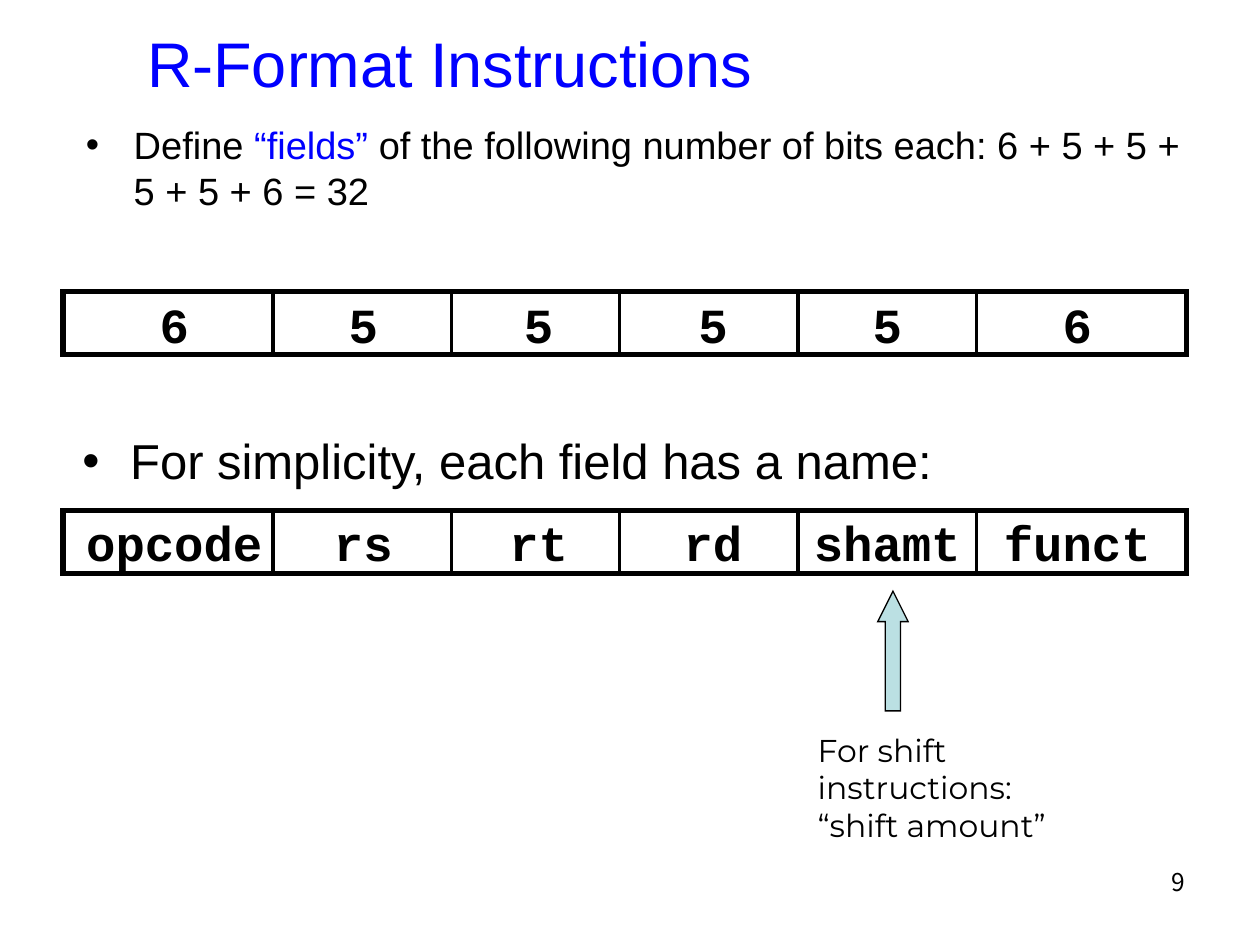
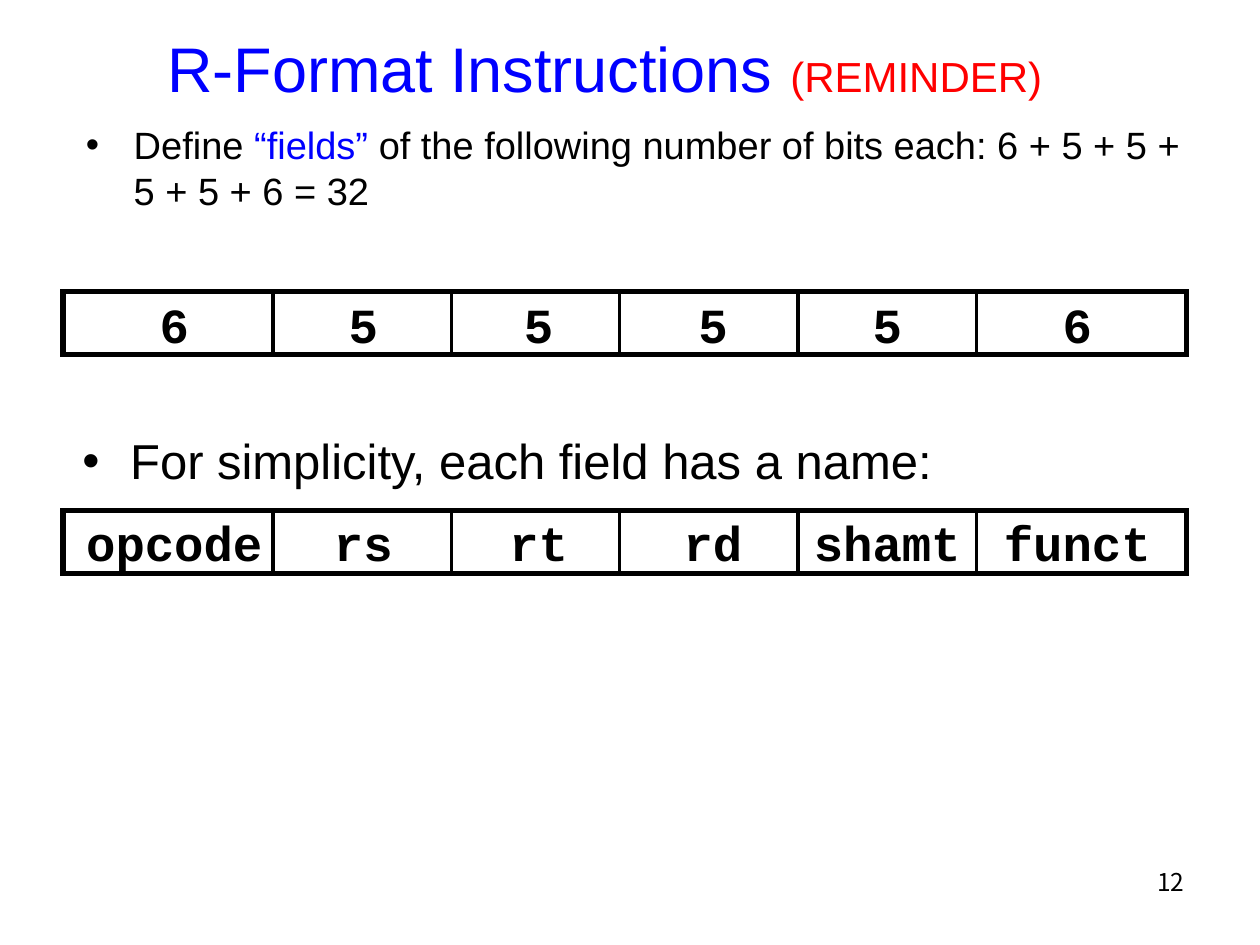
from pptx import Presentation, util as u
from pptx.dml.color import RGBColor
from pptx.enum import shapes as kinds, text as t
from pptx.oxml import parse_xml
from pptx.oxml.ns import nsdecls

COLORS = {"ink": "000000", "title": "0000FF", "alert": "FF0000",
          "arrow": "BBE0E3", "paper": "FFFFFF"}
SANS, MONO, NOTE, NUMBER = "Arial", "Courier New", "Montserrat", "Noto Sans CJK KR"

# Grid: 120 columns by 90 rows, twelve to the inch
UNIT = u.Inches(1) // 12
COLUMNS, ROWS = 120, 90

# Instruction word: outer edges, inner borders and label centres in columns
WORD_LEFT, WORD_WIDTH, WORD_HEIGHT = 6, 107, 6
FIELD_BORDERS = (26, 43, 59, 76, 93)
FIELD_CENTERS = (16.6, 34.6, 51.3, 67.9, 84.5, 102.6)
LABEL_HEIGHT, CHAR_WIDTH, LABEL_MARGIN = 6.8, 2.8, 2.4
BITS = ("6", "5", "5", "5", "5", "6")
NAMES = ("opcode", "rs", "rt", "rd", "shamt", "funct")
BITS_ROW, NAMES_ROW = 27.8, 48.6


def grid(*lengths):
    return [round(length * UNIT) for length in lengths]


def rgb(name):
    return RGBColor.from_string(COLORS[name])


def add_run(paragraph, words, size, font=SANS, color="ink", bold=False):
    run = paragraph.add_run()
    run.text = words
    run.font.size, run.font.name, run.font.bold = u.Pt(size), font, bold
    run.font.color.rgb = rgb(color)


def add_text(parent, place, wrap=True, align=t.PP_ALIGN.LEFT):
    """Add a text box; return its frame and first paragraph."""
    frame = parent.add_textbox(*grid(*place)).text_frame
    frame.word_wrap = wrap
    frame.paragraphs[0].alignment = align
    return frame, frame.paragraphs[0]


def add_bullet(paragraph):
    props = paragraph._p.get_or_add_pPr()
    indent = u.Inches(0.38)
    props.set("marL", str(indent))
    props.set("indent", str(-indent))
    ns = nsdecls("a")
    props.append(parse_xml(f'<a:buClr {ns}><a:srgbClr val="{COLORS["ink"]}"/></a:buClr>'))
    props.append(parse_xml(f'<a:buFont {ns} typeface="{SANS}"/>'))
    props.append(parse_xml(f'<a:buChar {ns} char="•"/>'))


def outline(shape, width):
    """Draw a black line with square corners."""
    shape.line.color.rgb = rgb("ink")
    shape.line.width = u.Pt(width)
    shape.line._ln.append(parse_xml(f'<a:miter {nsdecls("a")} lim="800000"/>'))


def add_title(slide, place, runs):
    title = slide.shapes.title
    title.left, title.top, title.width, title.height = grid(*place)
    frame = title.text_frame
    frame.auto_size = t.MSO_AUTO_SIZE.NONE
    frame.word_wrap = True
    frame.vertical_anchor = t.MSO_ANCHOR.MIDDLE
    paragraph = frame.paragraphs[0]
    paragraph.alignment = t.PP_ALIGN.CENTER
    for words, size, color in runs:
        add_run(paragraph, words, size, color=color)


def add_word(slide, row, labels):
    """Draw one 32-bit word, split into labelled fields."""
    word = slide.shapes.add_group_shape().shapes
    for center, label in zip(FIELD_CENTERS, labels):
        width = len(label) * CHAR_WIDTH + LABEL_MARGIN
        frame, paragraph = add_text(word, (center - width / 2, row, width, LABEL_HEIGHT),
                                    wrap=False, align=t.PP_ALIGN.CENTER)
        frame.margin_top = u.Inches(0.02)
        add_run(paragraph, label, 28, MONO, bold=True)
    frame_box = word.add_shape(kinds.MSO_SHAPE.RECTANGLE,
                               *grid(WORD_LEFT, row, WORD_WIDTH, WORD_HEIGHT))
    frame_box.shadow.inherit = False
    frame_box.fill.background()
    outline(frame_box, 3)
    for column in FIELD_BORDERS:
        border = word.add_connector(kinds.MSO_CONNECTOR.STRAIGHT,
                                    *grid(column, row, column, row + WORD_HEIGHT))
        outline(border, 2.25)
        border._element.spPr.append(parse_xml(f'<a:effectLst {nsdecls("a")}/>'))


def add_definition(slide):
    _, paragraph = add_text(slide.shapes, (7, 11, 107, 10.2))
    add_bullet(paragraph)
    for words, color in (("Define ", "ink"), ("“fields”", "title"),
                         (" of the following number of bits each: "
                          "6 + 5 + 5 + 5 + 5 + 6 = 32", "ink")):
        add_run(paragraph, words, 21.7, color=color)


def add_naming(slide):
    frame, paragraph = add_text(slide.shapes, (7, 34, 103, 13))
    frame.margin_left = frame.margin_right = u.Inches(0.07)
    frame.margin_top = frame.margin_bottom = u.Inches(0.03)
    frame.vertical_anchor = t.MSO_ANCHOR.BOTTOM
    add_bullet(paragraph)
    add_run(paragraph, "For simplicity, each field has a name:", 28)


def add_shift_note(slide):
    arrow = slide.shapes.add_shape(kinds.MSO_SHAPE.UP_ARROW, *grid(83.6, 56.3, 2.9, 11.4))
    arrow.adjustments[0], arrow.adjustments[1] = 0.5, 1
    arrow.shadow.inherit = False
    arrow.fill.solid()
    arrow.fill.fore_color.rgb = rgb("arrow")
    outline(arrow, 0.75)
    frame, paragraph = add_text(slide.shapes, (76.7, 69, 32.2, 12))
    add_run(paragraph, "For shift instructions:", 18, NOTE)
    add_run(frame.add_paragraph(), "“shift amount”", 18, NOTE)


def add_format_slide(deck, number, title_place, title_runs):
    """Build what both slides share."""
    slide = deck.slides.add_slide(deck.slide_layouts[5])
    slide.background.fill.solid()
    slide.background.fill.fore_color.rgb = rgb("paper")
    _, page = add_text(slide.shapes, (86, 82, 28, 6.2), align=t.PP_ALIGN.RIGHT)
    add_run(page, number, 14, NUMBER)
    add_title(slide, title_place, title_runs)
    add_definition(slide)
    add_word(slide, BITS_ROW, BITS)
    add_word(slide, NAMES_ROW, NAMES)
    add_naming(slide)
    return slide


def main():
    deck = Presentation()
    deck.slide_width, deck.slide_height = grid(COLUMNS, ROWS)

    # First look at the format, with the shift amount explained
    intro = add_format_slide(deck, "9", (8, 2.8, 69.7, 6.2),
                             [("R-Format Instructions", 36, "title")])
    add_shift_note(intro)

    # Reminder of the same format
    add_format_slide(deck, "12", (8, 2.8, 99.2, 7.3),
                     [("R-Format Instructions ", 36, "title"),
                      ("(REMINDER)", 24, "alert")])
    deck.save("out.pptx")


if __name__ == "__main__":
    main()
